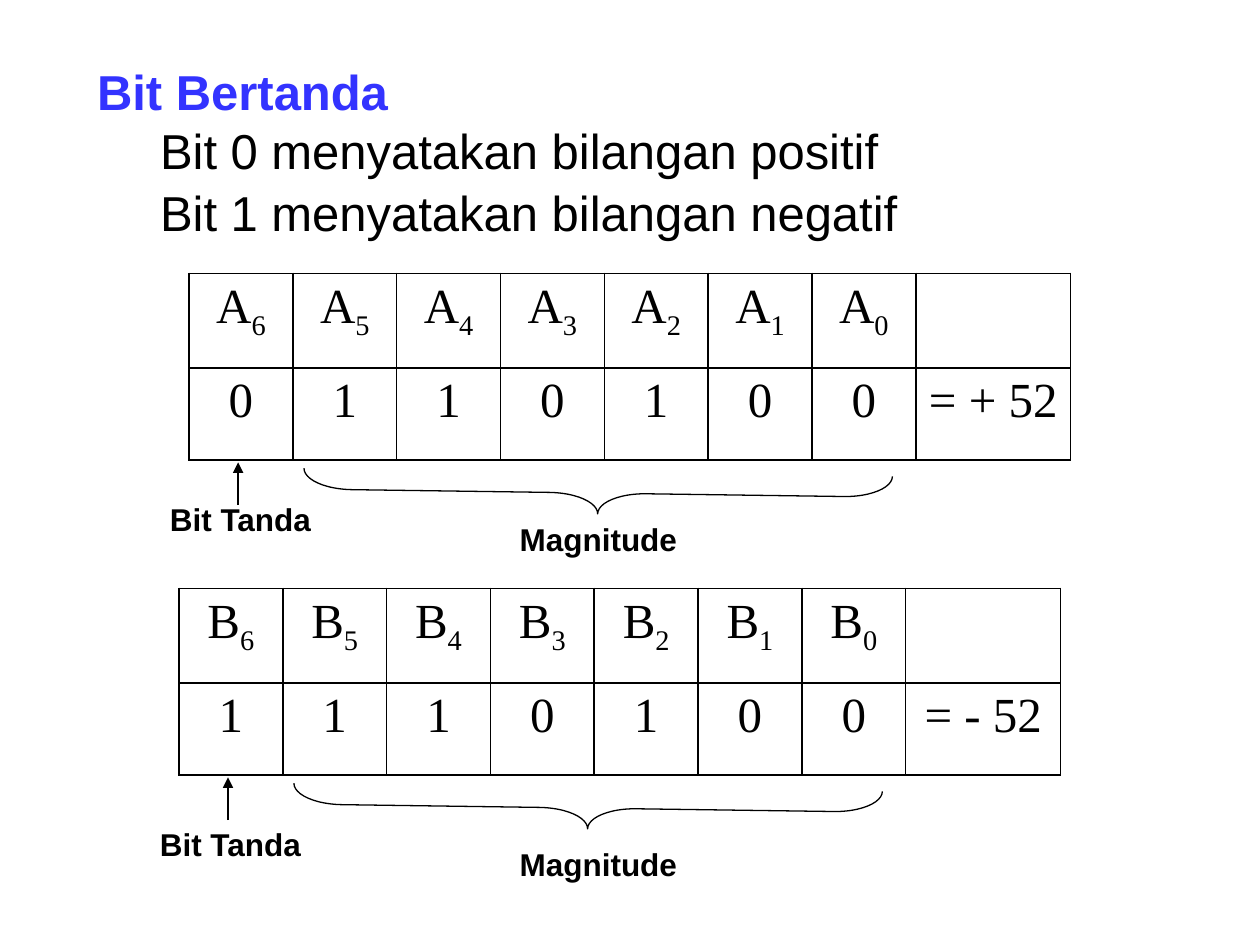
from lxml.etree import SubElement
from pptx import Presentation
from pptx.dml.color import RGBColor
from pptx.enum.shapes import MSO_CONNECTOR, MSO_SHAPE
from pptx.enum.text import MSO_ANCHOR, PP_ALIGN
from pptx.oxml.ns import qn
from pptx.util import Inches, Pt

BLUE = RGBColor(0x33, 0x33, 0xFF)
BLACK = RGBColor(0, 0, 0)
WHITE = RGBColor(0xFF, 0xFF, 0xFF)


def style(font, name, size, color=BLACK, bold=False):
    font.name, font.size, font.bold = name, Pt(size), bold
    font.color.rgb = color


def place(shape, left, top, width, height):
    shape.left, shape.top = Inches(left), Inches(top)
    shape.width, shape.height = Inches(width), Inches(height)


def add_head(slide, left, top, width):
    # Heading
    title = slide.shapes.title
    place(title, left, top, width, 0.57)
    title.text_frame.text = "Bit Bertanda"
    title.text_frame.vertical_anchor = MSO_ANCHOR.MIDDLE
    para = title.text_frame.paragraphs[0]
    para.alignment = PP_ALIGN.JUSTIFY
    style(para.runs[0].font, "Arial", 28, BLUE, True)

    # Rules below the heading
    body = slide.placeholders[1]
    place(body, left, top + 0.47, width, 1.03)
    frame = body.text_frame
    frame.text = ("Bit 0 menyatakan bilangan positif\n"
                  "Bit 1 menyatakan bilangan negatif")
    for para in frame.paragraphs:
        props = para._p.get_or_add_pPr()
        props.set("marL", str(Inches(0.5)))
        props.set("indent", "0")
        SubElement(props, qn("a:buNone"))
        para.alignment = PP_ALIGN.JUSTIFY
        para.space_before, para.space_after = Pt(0), Pt(1.5)
        style(para.runs[0].font, "Arial", 28)


def add_edges(cell):
    props = cell._tc.get_or_add_tcPr()
    for index, side in enumerate(("lnL", "lnR", "lnT", "lnB")):
        line = props.makeelement(qn("a:" + side), {"w": str(Pt(1))})
        fill = SubElement(line, qn("a:solidFill"))
        SubElement(fill, qn("a:srgbClr"), val=str(BLACK))
        props.insert(index, line)


def add_grid(slide, left, top, name, bits, value):
    width, last = Inches(7), Inches(1.23)
    count = len(bits)
    table = slide.shapes.add_table(
        2, count + 1, Inches(left), Inches(top), width, Inches(1.48)).table
    table.first_row = table.horz_banding = False
    for col in range(count):
        table.columns[col].width = (width - last) // count
    table.columns[count].width = last
    table.rows[0].height, table.rows[1].height = Inches(0.75), Inches(0.73)

    # Bit names above, bit values below
    for col, bit in enumerate(bits):
        para = table.cell(0, col).text_frame.paragraphs[0]
        para.add_run().text = name
        sub = para.add_run()
        sub.text = str(count - 1 - col)
        sub.font._element.set("baseline", "-25000")
        table.cell(1, col).text_frame.text = bit
    table.cell(1, count).text_frame.text = value

    for cell in table.iter_cells():
        cell.fill.solid()
        cell.fill.fore_color.rgb = WHITE
        add_edges(cell)
        para = cell.text_frame.paragraphs[0]
        para.alignment = PP_ALIGN.CENTER
        style(para.font, "Times New Roman", 28)
        for run in para.runs:
            style(run.font, "Times New Roman", 28)


def add_label(slide, left, top, width, text, align):
    box = slide.shapes.add_textbox(
        Inches(left), Inches(top), Inches(width), Inches(0.4))
    box.text_frame.word_wrap = True
    box.text_frame.text = text
    para = box.text_frame.paragraphs[0]
    para.alignment = align
    style(para.runs[0].font, "Arial", 18, bold=True)


def add_brace(slide, left, top):
    brace = slide.shapes.add_shape(
        MSO_SHAPE.LEFT_BRACE, Inches(left), Inches(top),
        Inches(0.33), Inches(4.67))
    brace.adjustments[0], brace.adjustments[1] = 1.167, 0.5
    brace.rotation = 270.8
    brace._element.spPr.find(qn("a:xfrm")).set("flipV", "1")
    brace.shadow.inherit = False
    brace.fill.background()
    brace.line.color.rgb, brace.line.width = BLACK, Pt(0.75)


def add_arrow(slide, left, top):
    arrow = slide.shapes.add_connector(
        MSO_CONNECTOR.STRAIGHT, Inches(left), Inches(top + 0.34),
        Inches(left), Inches(top))
    arrow.line.color.rgb, arrow.line.width = BLACK, Pt(0.75)
    SubElement(arrow.line._get_or_add_ln(), qn("a:tailEnd"), type="triangle")
    SubElement(arrow._element.spPr, qn("a:effectLst"))


def add_number(slide, left, top, name, bits, value, drop):
    # One signed number: grid, brace, arrow and labels
    add_grid(slide, left, top, name, bits, value)
    add_brace(slide, left + 3.08, top - 0.59)
    add_arrow(slide, left + 0.39, top + 1.5)
    add_label(slide, left - 0.25, top + 1.75 + drop, 1.42,
              "Bit Tanda", PP_ALIGN.LEFT)
    add_label(slide, 3.75, top + 1.91 + drop, 2,
              "Magnitude", PP_ALIGN.CENTER)


def main():
    deck = Presentation()
    deck.slide_width, deck.slide_height = Inches(10), Inches(7.5)
    slide = deck.slides.add_slide(deck.slide_layouts[1])
    add_head(slide, 0.67, 0.44, 7.42)
    add_number(slide, 1.5, 2.17, "A", "0110100", "= + 52", 0)
    add_number(slide, 1.42, 4.67, "B", "1110100", "= - 52", 0.08)
    deck.save("out.pptx")


if __name__ == "__main__":
    main()
